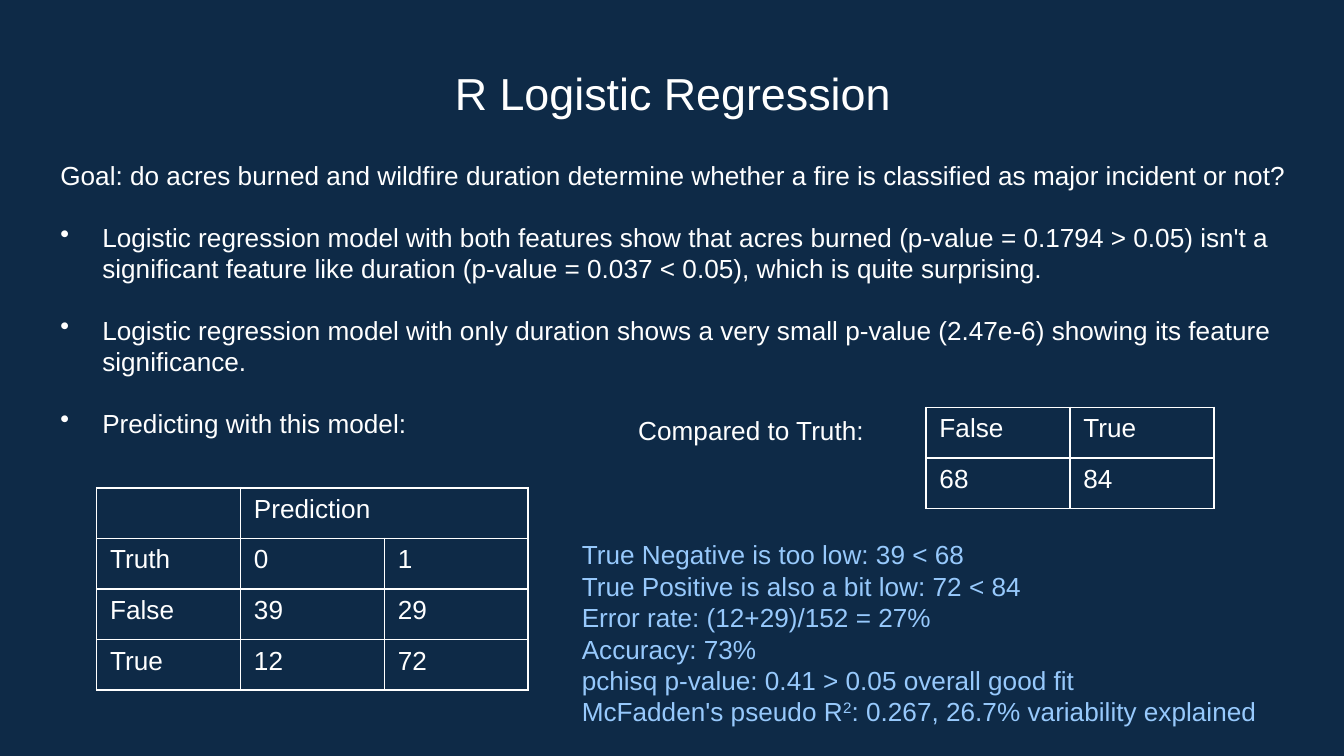
"""Build the logistic regression results slide."""
import dataclasses

import pptx
import pptx.dml.color
import pptx.enum.text
import pptx.oxml.ns
import pptx.util
from lxml import etree

Pt = pptx.util.Pt
qn = pptx.oxml.ns.qn


@dataclasses.dataclass(frozen=True)
class Theme:
    """Hold the colours and type sizes."""
    background: str = "0E2A47"
    text: str = "FFFFFF"
    accent: str = "97C9FC"
    font: str = "Arial"
    title_size: int = 24
    body_size: int = 14
    line_width: int = 1


THEME = Theme()
COLUMN_WIDTH = 77.1
ROW_HEIGHT = 27.15
BULLET_INDENT = 22.5
PARAGRAPH_GAP = 16.1

GOAL = ("Goal: do acres burned and wildfire duration determine whether a fire "
        "is classified as major incident or not?")
FINDINGS = [
    "Logistic regression model with both features show that acres burned "
    "(p-value = 0.1794 > 0.05) isn't a significant feature like duration "
    "(p-value = 0.037 < 0.05), which is quite surprising.",
    "Logistic regression model with only duration shows a very small p-value "
    "(2.47e-6) showing its feature significance.",
    "Predicting with this model:",
]
CONFUSION = [
    ["", "Prediction", ""],
    ["Truth", "0", "1"],
    ["False", "39", "29"],
    ["True", "12", "72"],
]
TRUTH_COUNTS = [["False", "True"], ["68", "84"]]
SUMMARY = [
    "True Negative is too low: 39 < 68",
    "True Positive is also a bit low: 72 < 84",
    "Error rate: (12+29)/152 = 27%",
    "Accuracy: 73%",
    "pchisq p-value: 0.41 > 0.05 overall good fit",
    "McFadden's pseudo R",
]


def rgb(colour):
    """Turn a hex string into a colour value."""
    return pptx.dml.color.RGBColor.from_string(colour)


def format_text(frame, size=THEME.body_size, colour=THEME.text):
    """Apply font, size and colour to every run of a frame."""
    for para in frame.paragraphs:
        for span in para.runs:
            span.font.name = THEME.font
            span.font.size = Pt(size)
            span.font.color.rgb = rgb(colour)


def place(shape, left, top, width, height):
    """Move and size a shape, given points."""
    shape.left, shape.top = Pt(left), Pt(top)
    shape.width, shape.height = Pt(width), Pt(height)


def add_title(page, text):
    """Fill and format the title placeholder."""
    title = page.shapes.title
    place(title, 82.8, 25.2, 555.1, 38.2)
    frame = title.text_frame
    frame.text = text
    frame.auto_size = pptx.enum.text.MSO_AUTO_SIZE.NONE
    frame.vertical_anchor = pptx.enum.text.MSO_ANCHOR.TOP
    frame.margin_left = frame.margin_right = frame.margin_bottom = Pt(7.2)
    frame.margin_top = Pt(10)
    frame.paragraphs[0].alignment = pptx.enum.text.PP_ALIGN.CENTER
    format_text(frame, THEME.title_size)


def add_text(page, bounds, lines, colour=THEME.text):
    """Add a wrapped text box with one paragraph per line."""
    box = page.shapes.add_textbox(*map(Pt, bounds))
    frame = box.text_frame
    frame.word_wrap = True
    frame.text = "\n".join(lines)
    format_text(frame, colour=colour)
    return frame


def add_bullet(para):
    """Give a paragraph a hanging bullet."""
    properties = para._p.get_or_add_pPr()
    properties.set("marL", str(Pt(BULLET_INDENT)))
    properties.set("indent", str(-Pt(BULLET_INDENT)))
    bullet_colour = etree.SubElement(properties, qn("a:buClr"))
    etree.SubElement(bullet_colour, qn("a:srgbClr"), val=THEME.text)
    etree.SubElement(properties, qn("a:buChar"), char="•")


def add_findings(page):
    """Add the goal and the bulleted findings."""
    frame = add_text(page, (25.2, 82.1, 689.8, 159.8), [GOAL, *FINDINGS])
    for para in frame.paragraphs[:-1]:
        para.space_after = Pt(PARAGRAPH_GAP)
    for para in frame.paragraphs[1:]:
        add_bullet(para)


def add_summary(page):
    """Add the model summary with its superscript."""
    frame = add_text(page, (304.6, 285.1, 405.4, 108.7), SUMMARY, THEME.accent)
    score = frame.paragraphs[-1]
    power, rest = score.add_run(), score.add_run()
    power.text, rest.text = "2", ": 0.267, 26.7% variability explained"
    format_text(frame, colour=THEME.accent)
    power.font._element.set("baseline", "30000")


def format_cell(cell, text):
    """Write one clear cell with a thin border on each side."""
    cell.text_frame.text = text
    format_text(cell.text_frame)
    if not text:
        etree.SubElement(cell.text_frame.paragraphs[0]._p, qn("a:endParaRPr"),
                         sz=str(THEME.body_size * 100))
    properties = cell._tc.get_or_add_tcPr()
    for side in ("a:lnL", "a:lnR", "a:lnT", "a:lnB"):
        border = etree.SubElement(properties, qn(side),
                                  w=str(Pt(THEME.line_width)))
        fill = etree.SubElement(border, qn("a:solidFill"))
        etree.SubElement(fill, qn("a:srgbClr"), val=THEME.text)
    cell.fill.background()


def add_grid(page, left, top, rows):
    """Add a bordered table with equal cells."""
    count, columns = len(rows), len(rows[0])
    table = page.shapes.add_table(
        count, columns, Pt(left), Pt(top),
        Pt(columns * COLUMN_WIDTH), Pt(count * ROW_HEIGHT)).table
    table.first_row = table.horz_banding = False
    for column in table.columns:
        column.width = Pt(COLUMN_WIDTH)
    for row, texts in zip(table.rows, rows):
        row.height = Pt(ROW_HEIGHT)
        for cell, text in zip(row.cells, texts):
            format_cell(cell, text)
    return table


def main():
    """Build and save the deck."""
    deck = pptx.Presentation()
    deck.slide_width, deck.slide_height = Pt(720), Pt(405)
    page = deck.slides.add_slide(deck.slide_layouts.get_by_name("Title Only"))
    page.background.fill.solid()
    page.background.fill.fore_color.rgb = rgb(THEME.background)
    add_title(page, "R Logistic Regression")
    add_findings(page)
    confusion = add_grid(page, 51.8, 261.3, CONFUSION)
    confusion.cell(0, 1).merge(confusion.cell(0, 2))
    add_text(page, (334.8, 218.2, 322.6, 24.5), ["Compared to Truth:"])
    add_grid(page, 496.1, 218.2, TRUTH_COUNTS)
    add_summary(page)
    deck.save("out.pptx")


if __name__ == "__main__":
    main()
